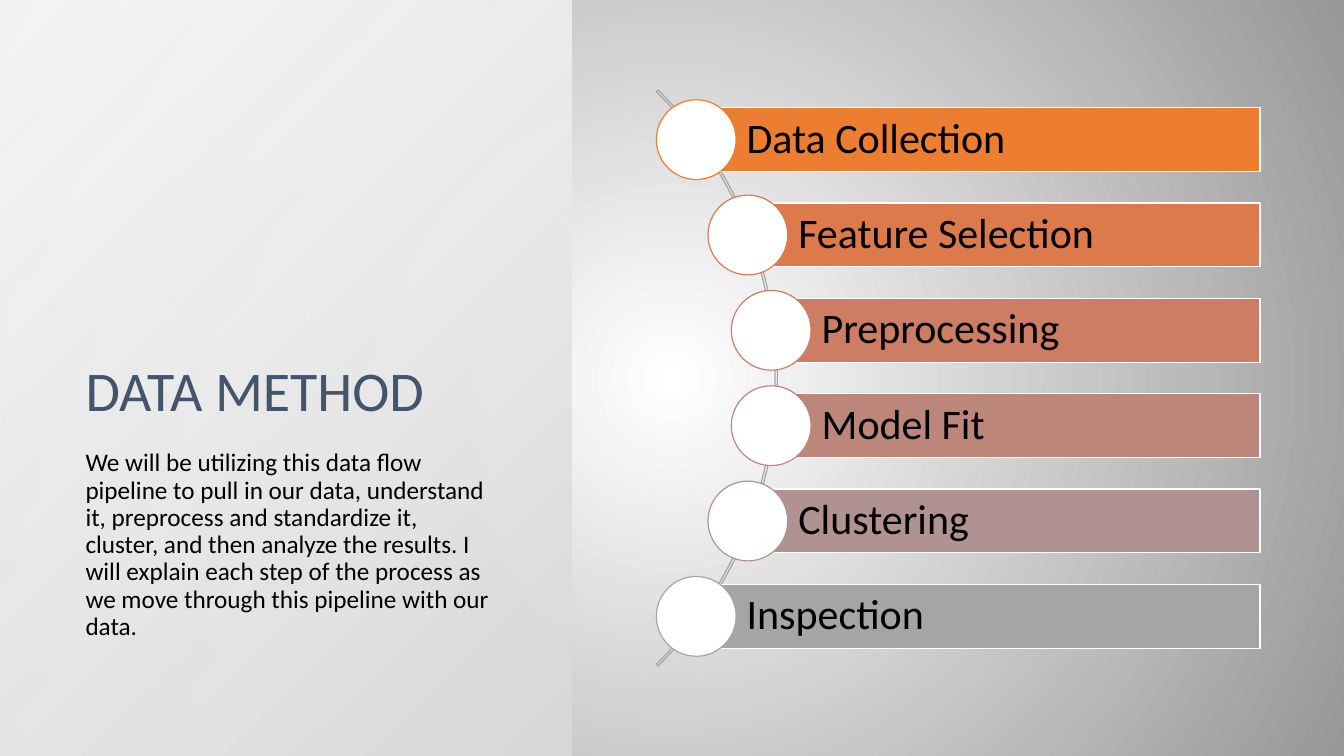
from math import sqrt

from pptx import Presentation
from pptx.dml.color import RGBColor
from pptx.enum.shapes import MSO_SHAPE as Shape
from pptx.enum.text import MSO_ANCHOR as Anchor, PP_ALIGN as Align
from pptx.oxml.ns import qn
from pptx.oxml.xmlchemy import OxmlElement as new_element
from pptx.util import Inches, Pt

COLUMNS, ROWS = 160, 90
STEPS = [
    ("Data Collection", "ED7D31"),
    ("Feature Selection", "DC7A4B"),
    ("Preprocessing", "CC7D64"),
    ("Model Fit", "BD867B"),
    ("Clustering", "B09391"),
    ("Inspection", "A5A5A5"),
]
ARC_COLUMN, ARC_ROW, ARC_RADIUS = 44.05, 45, 48.5
DOT_ORBIT, DOT_SIZE = 48.1, 9.5
BAR_RIGHT, BAR_HEIGHT, STEP_PITCH = 150, 7.6, 11.35


def rgb(color):
    return RGBColor.from_string(color)


class SlideBuilder:
    """Draws styled elements on one slide, placed on a grid of columns and rows."""

    font = "Calibri"
    line_width = Pt(0.85)

    def __init__(self, presentation):
        presentation.slide_width = Inches(13.33)
        presentation.slide_height = Inches(7.5)
        self.column = presentation.slide_width / COLUMNS
        self.row = presentation.slide_height / ROWS
        self.slide = presentation.slides.add_slide(presentation.slide_layouts[6])

    def box(self, left, top, width, height):
        return (round(left * self.column), round(top * self.row),
                round(width * self.column), round(height * self.row))

    def radial(self, fill, owner, colors, focus, end_alpha=100):
        fill.gradient()
        for stop, color in zip(fill.gradient_stops, colors):
            stop.color.rgb = rgb(color)
        gradient = next(owner.element.iter(qn("a:gradFill")))
        alpha = new_element("a:alpha")
        alpha.set("val", str(end_alpha * 1000))
        list(gradient.iter(qn("a:srgbClr")))[-1].append(alpha)
        circle = new_element("a:path")
        circle.set("path", "circle")
        target = new_element("a:fillToRect")
        for side, share in zip("ltrb", focus):
            target.set(side, str(share * 1000))
        circle.append(target)
        gradient.replace(gradient.find(qn("a:lin")), circle)

    def background(self, colors, focus):
        self.radial(self.slide.background.fill, self.slide, colors, focus)

    def shape(self, kind, place, fill=None, line=None):
        shape = self.slide.shapes.add_shape(kind, *self.box(*place))
        shape.shadow.inherit = False
        if fill:
            shape.fill.solid()
            shape.fill.fore_color.rgb = rgb(fill)
        else:
            shape.fill.background()
        if line:
            shape.line.color.rgb = rgb(line)
            shape.line.width = self.line_width
        else:
            shape.line.fill.background()
        return shape

    def panel(self, place, colors, focus, end_alpha):
        panel = self.shape(Shape.RECTANGLE, place)
        self.radial(panel.fill, panel, colors, focus, end_alpha)

    def arc(self, center_column, center_row, radius, color):
        place = (center_column - radius, center_row - radius, 2 * radius, 2 * radius)
        arc = self.shape(Shape.BLOCK_ARC, place, line=color)
        for index, value in enumerate((189, 27, 0.003)):
            arc.adjustments[index] = value

    def style_text(self, frame, text, size, color, anchor):
        frame.word_wrap = True
        frame.vertical_anchor = anchor
        paragraph = frame.paragraphs[0]
        paragraph.text = text
        paragraph.alignment = Align.LEFT
        paragraph.line_spacing = 0.9
        paragraph.font.name = self.font
        paragraph.font.size = Pt(size)
        paragraph.font.color.rgb = rgb(color)

    def text(self, place, text, size, color, anchor=Anchor.TOP):
        frame = self.slide.shapes.add_textbox(*self.box(*place)).text_frame
        self.style_text(frame, text, size, color, anchor)

    def step(self, center_column, center_row, label, color):
        bar = self.shape(
            Shape.RECTANGLE,
            (center_column, center_row - BAR_HEIGHT / 2, BAR_RIGHT - center_column, BAR_HEIGHT),
            color, "FFFFFF")
        frame = bar.text_frame
        frame.margin_left = round(6 * self.column)
        frame.margin_right = frame.margin_top = frame.margin_bottom = round(self.column)
        self.style_text(frame, label, 30, "000000", Anchor.MIDDLE)
        self.shape(
            Shape.OVAL,
            (center_column - DOT_SIZE / 2, center_row - DOT_SIZE / 2, DOT_SIZE, DOT_SIZE),
            "FFFFFF", color)


def main():
    presentation = Presentation()
    builder = SlideBuilder(presentation)
    builder.background(("FFFFFF", "979797"), (50, 50, 50, 50))
    builder.panel((0, 0, 68, ROWS), ("D9D9D9", "FFFFFF"), (100, 100, 0, 0), 89)
    builder.text((9, 9, 51, 42), "DATA METHOD", 40, "44546A", Anchor.BOTTOM)
    builder.arc(ARC_COLUMN, ARC_ROW, ARC_RADIUS, "A5A5A5")
    for index, (label, color) in enumerate(STEPS):
        offset = (index - (len(STEPS) - 1) / 2) * STEP_PITCH
        center_column = ARC_COLUMN + sqrt(DOT_ORBIT ** 2 - offset ** 2)
        builder.step(center_column, ARC_ROW + offset, label, color)
    builder.text(
        (9, 53, 51, 28),
        "We will be utilizing this data flow pipeline to pull in our data, understand it, "
        "preprocess and standardize it, cluster, and then analyze the results. I will explain "
        "each step of the process as we move through this pipeline with our data.",
        18, "000000")
    presentation.save("out.pptx")


if __name__ == "__main__":
    main()
